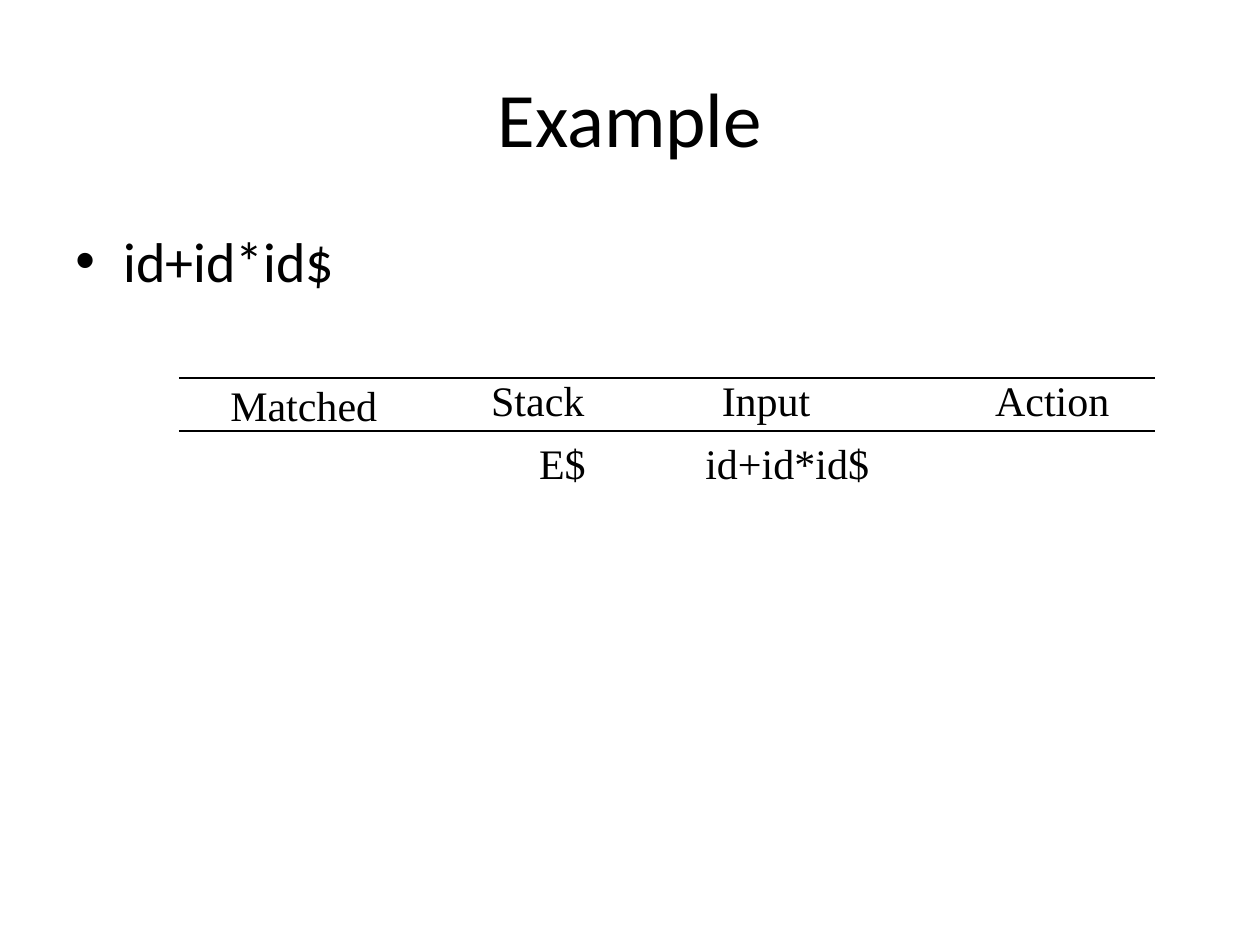
from lxml import etree
from pptx import Presentation
from pptx.dml.color import RGBColor
from pptx.enum import shapes, text
from pptx.oxml.ns import qn
from pptx.util import Inches, Pt

COLORS = {"ink": "000000"}
TITLE = "Example"
BULLET = "id+id*id$"
RULES = [3, 3.42]
LEFT, RIGHT = 1.42, 9.17
# text, left, top, width
LABELS = [
    ("Matched", 1.73, 2.96, 1.4),
    ("Stack", 3.8, 2.92, 0.97),
    ("Input", 5.63, 2.92, 0.95),
    ("Action", 7.8, 2.92, 1.14),
    ("E$", 4.18, 3.42, 0.6),
    ("id+id*id$", 5.5, 3.42, 1.53),
]
INK = RGBColor.from_string(COLORS["ink"])


def write(frame, words, size, font):
    frame.text = words
    para = frame.paragraphs[0]
    face = para.runs[0].font
    face.size, face.name = Pt(size), font
    face.color.rgb = INK
    return para


def add_box(slide, left, top, width, height):
    box = slide.shapes.add_textbox(*map(Inches, (left, top, width, height)))
    return box.text_frame


def add_title(slide):
    title = slide.shapes.title
    title.left, title.top, title.width, title.height = map(
        Inches, (0.5, 0.3, 9, 1.25))
    title.text_frame.vertical_anchor = text.MSO_ANCHOR.MIDDLE
    para = write(title.text_frame, TITLE, 44, "Calibri")
    para.alignment = text.PP_ALIGN.CENTER


def add_bullet(slide):
    frame = add_box(slide, 0.5, 1.75, 9, 4.95)
    frame.word_wrap = True
    para = write(frame, BULLET, 32, "Calibri")
    para.space_before = Pt(6.4)
    props = para._p.get_or_add_pPr()
    props.set("marL", str(Inches(0.38)))
    props.set("indent", str(Inches(-0.38)))
    etree.SubElement(props, qn("a:buFont")).set("typeface", "Arial")
    etree.SubElement(props, qn("a:buChar")).set("char", "•")


def add_rule(slide, y):
    rule = slide.shapes.add_connector(
        shapes.MSO_CONNECTOR.STRAIGHT,
        Inches(LEFT), Inches(y), Inches(RIGHT), Inches(y))
    rule.line.color.rgb = INK
    rule.line.width = Pt(0.75)
    etree.SubElement(rule._element.spPr, qn("a:effectLst"))


def add_label(slide, words, left, top, width):
    frame = add_box(slide, left, top, width, 0.5)
    frame.word_wrap = True
    frame.auto_size = text.MSO_AUTO_SIZE.NONE
    para = write(frame, words, 24, "Times New Roman")
    para.alignment = text.PP_ALIGN.LEFT


def main():
    deck = Presentation()
    deck.slide_width, deck.slide_height = Inches(10), Inches(7.5)
    slide = deck.slides.add_slide(deck.slide_layouts[5])
    add_title(slide)
    add_bullet(slide)
    for y in RULES:
        add_rule(slide, y)
    for label in LABELS:
        add_label(slide, *label)
    deck.save("out.pptx")


if __name__ == "__main__":
    main()
